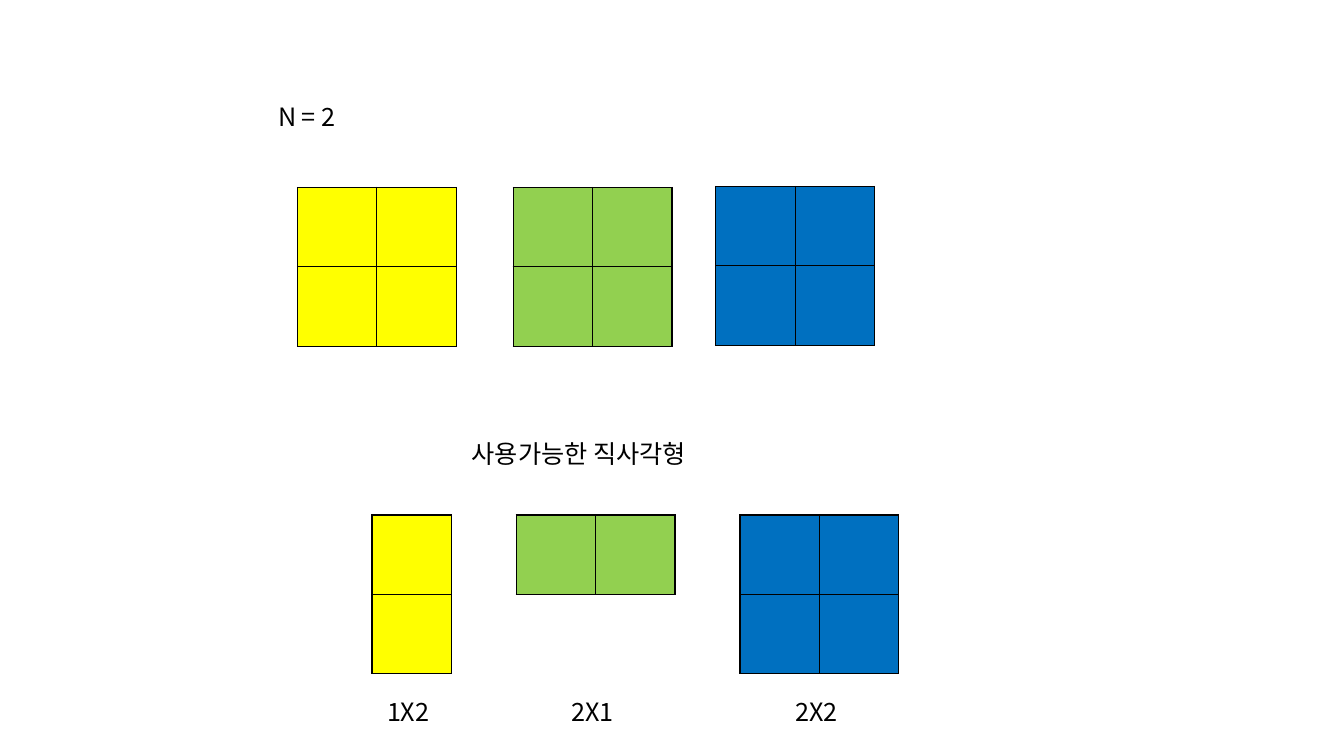
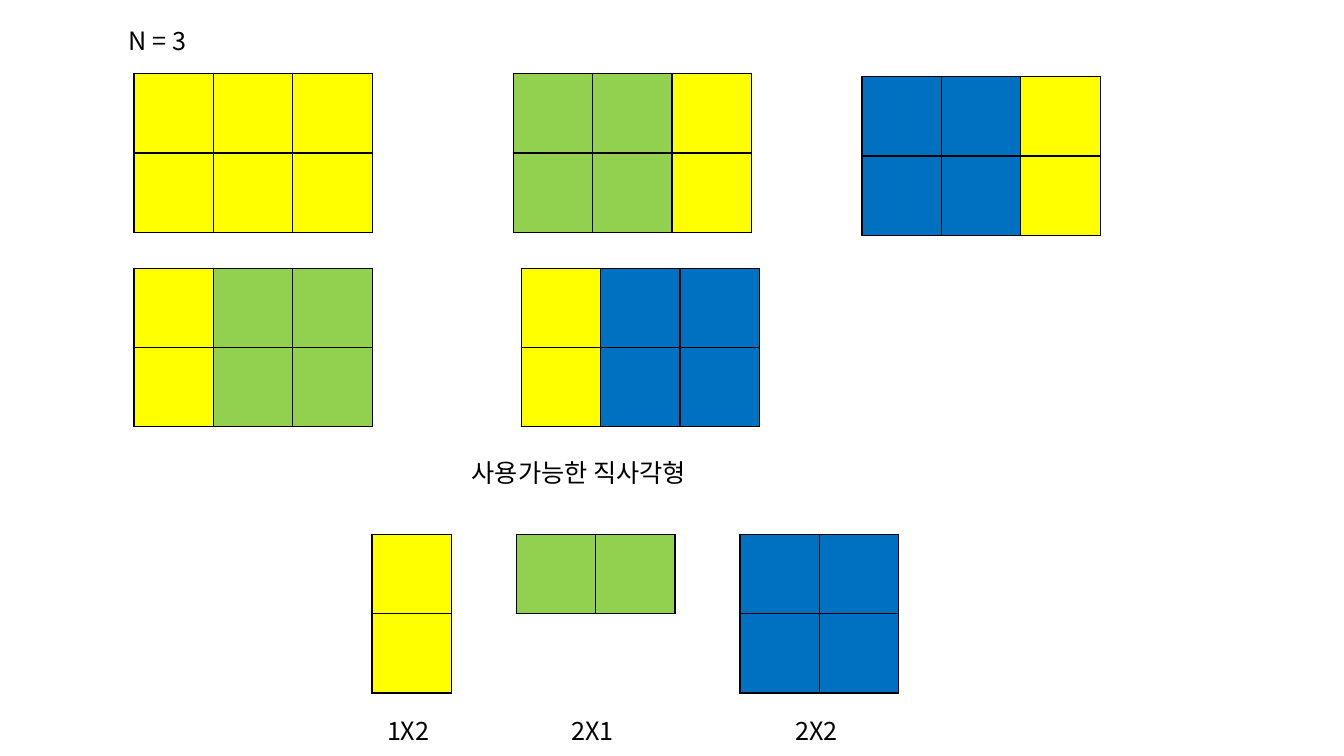
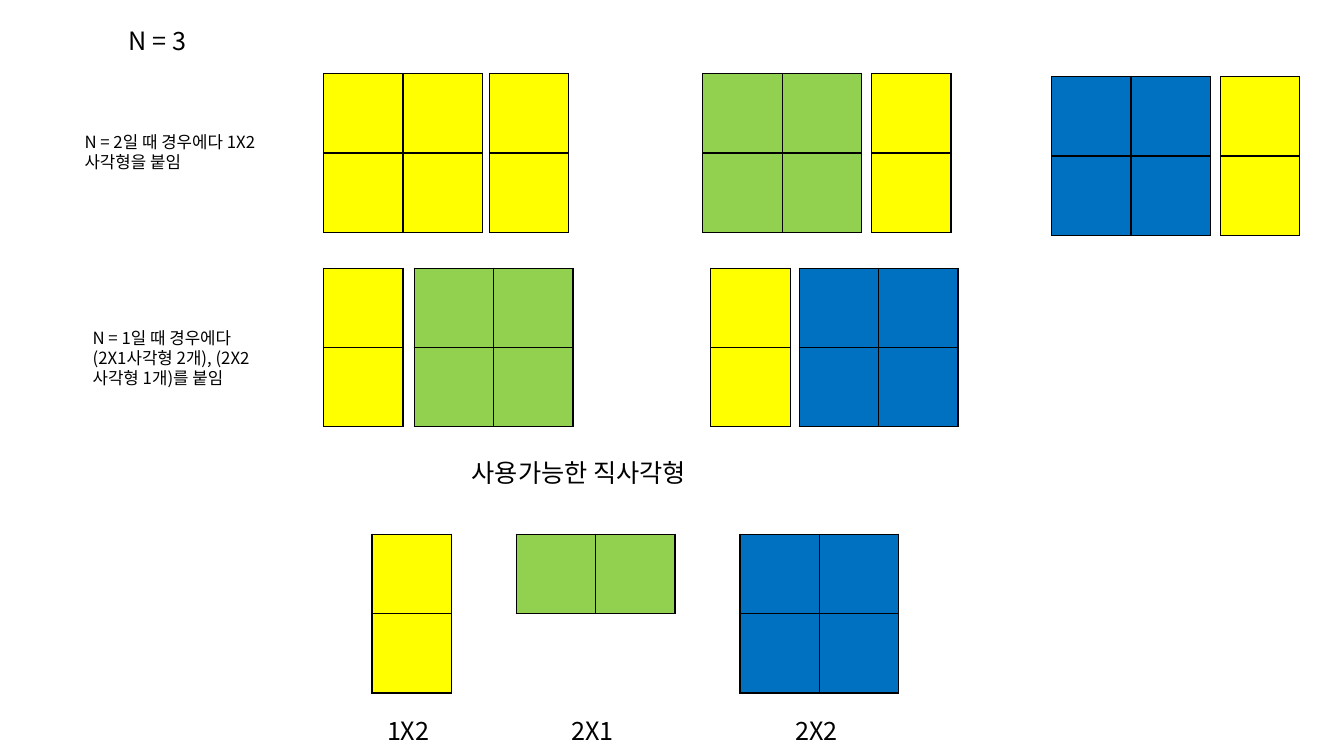
from lxml import etree
from pptx import Presentation
from pptx.dml.color import RGBColor
from pptx.enum.text import MSO_AUTO_SIZE
from pptx.oxml.ns import qn
from pptx.util import Cm, Inches, Pt

FIT_SHAPE = MSO_AUTO_SIZE.SHAPE_TO_FIT_TEXT
COLORS = {"yellow": "FFFF00", "green": "92D050", "blue": "0070C0", "black": "000000"}
FONT = "Noto Sans CJK KR"
CELL = Cm(2)

# Tile: columns, rows, colour
TILES = {"1X2": (1, 2, "yellow"), "2X1": (2, 1, "green"), "2X2": (2, 2, "blue")}
# Block: tiles with their column and row inside it
BLOCKS = {
    "bar": [("1X2", 0, 0)],
    "two bars": [("1X2", 0, 0), ("1X2", 1, 0)],
    "two planks": [("2X1", 0, 0), ("2X1", 0, 1)],
    "square": [("2X2", 0, 0)],
}

# Ways to fill N = 2: left, top, block
FILLS_2 = [(2.95, 1.86, "two bars"), (5.09, 1.86, "two planks"), (7.1, 1.85, "square")]
# Ways to fill N = 3: left, top, first block, second block, gap when pulled apart
FILLS_3 = [
    (1.33, 0.73, "two bars", "bar", 0.07),
    (5.09, 0.73, "two planks", "bar", 0.1),
    (8.55, 0.76, "square", "bar", 0.1),
    (1.33, 2.66, "bar", "two planks", 0.11),
    (5.17, 2.66, "bar", "square", 0.09),
]
SHIFT = 1.88  # room for the notes left of the pulled-apart blocks

# Legend: tile, left of tile, left of its label
LEGEND = [("1X2", 3.69, 3.74), ("2X1", 5.12, 5.57), ("2X2", 7.34, 7.79)]
NOTES = [
    (0.74, 1.26, 0.5, "N = 2일 때 경우에다 1X2사각형을 붙임"),
    (0.82, 3.2, 0.71, "N = 1일 때 경우에다\v(2X1사각형 2개), (2X2사각형 1개)를 붙임"),
]

prs = Presentation()
prs.slide_width, prs.slide_height = Inches(13.33), Inches(7.5)


def add_text(s, text, x, y, w, h=0.4, size=18):
    tf = s.shapes.add_textbox(Inches(x), Inches(y), Inches(w), Inches(h)).text_frame
    tf.word_wrap = True
    tf.auto_size = FIT_SHAPE
    tf.text = text
    for r in tf.paragraphs[0].runs:
        for name, value in {"name": FONT, "size": Pt(size)}.items():
            setattr(r.font, name, value)
        r.font.color.rgb = RGBColor.from_string(COLORS["black"])
        etree.SubElement(r.font._element, qn("a:ea"), typeface=FONT)


def add_tile(s, kind, left, top):
    cols, rows, color = TILES[kind]
    table = s.shapes.add_table(rows, cols, left, top, cols * CELL, rows * CELL).table
    table.first_row = table.horz_banding = False
    for cell in table.iter_cells():
        cell.fill.solid()
        cell.fill.fore_color.rgb = RGBColor.from_string(COLORS[color])
        for i, side in enumerate(("lnL", "lnR", "lnT", "lnB")):
            ln = etree.Element(qn("a:" + side), w=str(Pt(1)))
            fill = etree.SubElement(ln, qn("a:solidFill"))
            etree.SubElement(fill, qn("a:srgbClr"), val=COLORS["black"])
            cell._tc.tcPr.insert(i, ln)


# Slide: title, title position, legend top, apart or not
for title, title_x, title_y, legend_y, apart in [
    ("N = 2", 2.66, 0.96, 4.3, False),
    ("N = 3", 1.18, 0.2, 4.49, False),
    ("N = 3", 1.18, 0.2, 4.49, True),
]:
    s = prs.slides.add_slide(prs.slide_layouts[6])
    add_text(s, title, title_x, title_y, 2.66)

    # Blocks
    placed = []
    if title == "N = 2":
        placed = [(Inches(x), y, block) for x, y, block in FILLS_2]
    else:
        for x, y, first, second, gap in FILLS_3:
            left = Inches(x + SHIFT * apart)
            last, col, _ = BLOCKS[first][-1]
            width = (col + TILES[last][0]) * CELL
            placed += [(left, y, first), (left + width + Inches(gap * apart), y, second)]
    for left, y, block in placed:
        for kind, col, row in BLOCKS[block]:
            add_tile(s, kind, left + col * CELL, Inches(y) + row * CELL)

    # Legend of usable tiles
    add_text(s, "사용가능한 직사각형", 4.58, legend_y, 2.66)
    for kind, tile_x, label_x in LEGEND:
        add_tile(s, kind, Inches(tile_x), Inches(legend_y + 0.81))
        add_text(s, kind, label_x, legend_y + 2.56, 0.69)

    # Notes on how the blocks are joined
    if apart:
        for x, y, h, note in NOTES:
            add_text(s, note, x, y, 2.02, h, 12)

prs.save("out.pptx")
